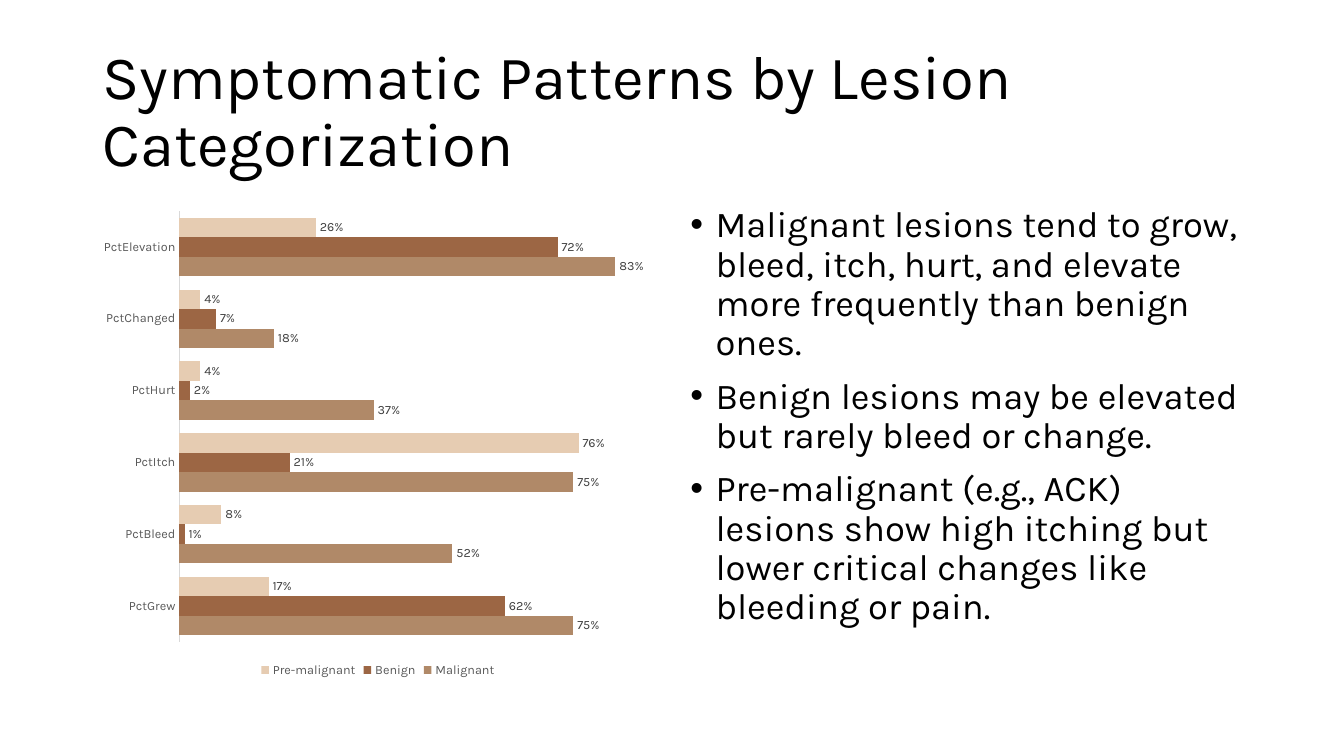
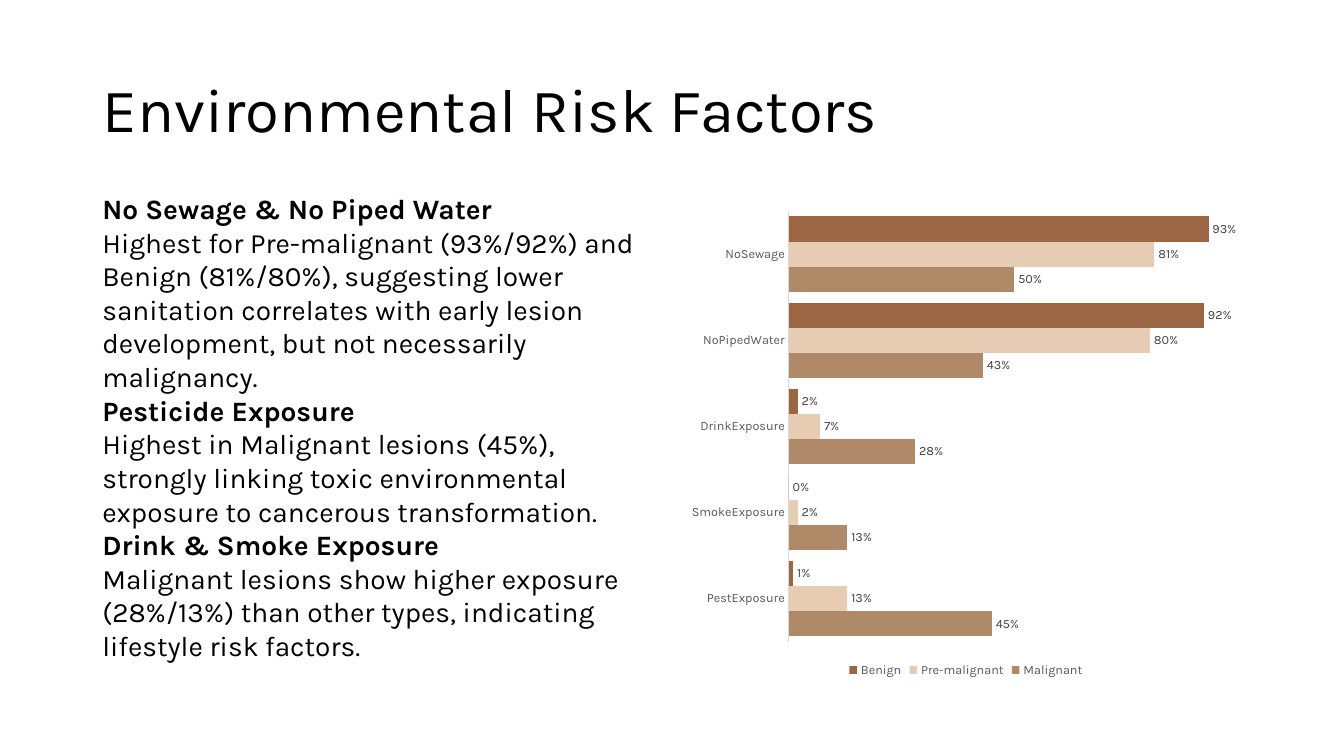
from lxml.etree import SubElement
from pptx import Presentation
from pptx.chart.data import CategoryChartData
from pptx.dml.color import RGBColor
from pptx.enum.chart import XL_CHART_TYPE, XL_LABEL_POSITION, XL_LEGEND_POSITION, XL_TICK_MARK
from pptx.enum.text import MSO_ANCHOR, MSO_AUTO_SIZE, PP_ALIGN
from pptx.oxml.ns import qn
from pptx.util import Emu, Pt

PX = 9525
SLIDE_SIZE = (1280, 720)
FONT = "Karla"
COLORS = {
    "text": "000000",
    "label": "404040",
    "axis_text": "595959",
    "axis_line": "D9D9D9",
    "Malignant": "B08968",
    "Benign": "9C6644",
    "Pre-malignant": "E6CCB2",
}

TITLE_BOX = (88, 38, 1104, 139)
LEFT_BOX = (88, 192, 544, 457)
RIGHT_BOX = (648, 192, 544, 457)
FACTORS_BOX = (88, 177, 552, 459)

SYMPTOMS = {
    "title": "Symptomatic Patterns by Lesion Categorization",
    "categories": ["PctGrew", "PctBleed", "PctItch", "PctHurt", "PctChanged", "PctElevation"],
    "series": [
        ("Malignant", (0.75, 0.52, 0.75, 0.37, 0.18, 0.83)),
        ("Benign", (0.62, 0.01, 0.21, 0.02, 0.07, 0.72)),
        ("Pre-malignant", (0.17, 0.08, 0.76, 0.04, 0.04, 0.26)),
    ],
    "gap": 68,
    "maximum": 0.9,
    "bullets": [
        "Malignant lesions tend to grow, bleed, itch, hurt, and elevate more frequently than benign ones.",
        "Benign lesions may be elevated but rarely bleed or change.",
        "Pre-malignant (e.g., ACK) lesions show high itching but lower critical changes like bleeding or pain.",
    ],
}

ENVIRONMENT = {
    "title": "Environmental Risk Factors",
    "categories": ["PestExposure", "SmokeExposure", "DrinkExposure", "NoPipedWater", "NoSewage"],
    "series": [
        ("Malignant", (0.45, 0.13, 0.28, 0.43, 0.5)),
        ("Pre-malignant", (0.13, 0.02, 0.07, 0.8, 0.81)),
        ("Benign", (0.01, 0, 0.02, 0.92, 0.93)),
    ],
    "gap": 42,
    "maximum": 1,
    "factors": [
        ("No Sewage & No Piped Water",
         "Highest for Pre-malignant (93%/92%) and Benign (81%/80%), suggesting lower sanitation "
         "correlates with early lesion development, but not necessarily malignancy."),
        ("Pesticide Exposure",
         "Highest in Malignant lesions (45%), strongly linking toxic environmental exposure "
         "to cancerous transformation."),
        ("Drink & Smoke Exposure",
         "Malignant lesions show higher exposure (28%/13%) than other types, indicating "
         "lifestyle risk factors."),
    ],
}


def to_emu(box):
    return [Emu(value * PX) for value in box]


def rgb(name):
    return RGBColor.from_string(COLORS[name])


def style_font(font, size, color="text", bold=False):
    font.name = FONT
    font.size = Pt(size)
    font.bold = bold
    font.color.rgb = rgb(color)


def add_titled_slide(presentation, text):
    slide = presentation.slides.add_slide(presentation.slide_layouts[5])
    title = slide.shapes.title
    title.left, title.top, title.width, title.height = to_emu(TITLE_BOX)
    frame = title.text_frame
    frame.text = text
    frame.auto_size = MSO_AUTO_SIZE.NONE
    frame.vertical_anchor = MSO_ANCHOR.MIDDLE
    paragraph = frame.paragraphs[0]
    paragraph.alignment = PP_ALIGN.LEFT
    paragraph.line_spacing = 0.9
    style_font(paragraph.font, 44)
    return slide


def add_bar_chart(slide, box, content):
    data = CategoryChartData(number_format="0%")
    data.categories = content["categories"]
    for name, values in content["series"]:
        data.add_series(name, values)
    chart = slide.shapes.add_chart(XL_CHART_TYPE.BAR_CLUSTERED, *to_emu(box), data).chart
    style_font(chart.font, 10)
    chart.has_title = False
    chart.has_legend = True
    chart.legend.position = XL_LEGEND_POSITION.BOTTOM
    chart.legend.include_in_layout = False
    style_font(chart.legend.font, 9, "axis_text")

    category_axis = chart.category_axis
    category_axis.major_tick_mark = XL_TICK_MARK.NONE
    category_axis.minor_tick_mark = XL_TICK_MARK.NONE
    category_axis.format.line.color.rgb = rgb("axis_line")
    category_axis.format.line.width = Pt(0.75)
    style_font(category_axis.tick_labels.font, 9, "axis_text")

    value_axis = chart.value_axis
    value_axis.visible = False
    value_axis.has_major_gridlines = False
    value_axis.minimum_scale = 0
    value_axis.maximum_scale = content["maximum"]

    plot = chart.plots[0]
    plot.gap_width = content["gap"]
    plot.overlap = 0
    plot.vary_by_categories = False
    for series in plot.series:
        series.format.fill.solid()
        series.format.fill.fore_color.rgb = rgb(series.name)
        labels = series.data_labels
        labels.show_value = True
        labels.position = XL_LABEL_POSITION.OUTSIDE_END
        labels.number_format = "0%"
        labels.number_format_is_linked = False
        style_font(labels.font, 9, "label")


def add_paragraphs(slide, box, texts):
    """Add a wrapping text box with one paragraph per text; return its frame."""
    frame = slide.shapes.add_textbox(*to_emu(box)).text_frame
    frame.word_wrap = True
    frame.text = "\n".join(texts)
    return frame


def add_bullets(slide, box, texts):
    for paragraph in add_paragraphs(slide, box, texts).paragraphs:
        paragraph.line_spacing = 0.9
        paragraph.space_before = Pt(10)
        style_font(paragraph.font, 26)
        properties = paragraph._p.get_or_add_pPr()
        properties.set("marL", str(24 * PX))
        properties.set("indent", str(-24 * PX))
        bullet_font = SubElement(properties, qn("a:buFont"))
        bullet_font.set("typeface", "Arial")
        bullet = SubElement(properties, qn("a:buChar"))
        bullet.set("char", "•")
        # Schema order: default run properties follow the bullet.
        properties.append(properties.find(qn("a:defRPr")))


def add_factors(slide, box, factors):
    """Add alternating bold headings and plain explanations."""
    frame = add_paragraphs(slide, box, [text for factor in factors for text in factor])
    frame.vertical_anchor = MSO_ANCHOR.MIDDLE
    for index, paragraph in enumerate(frame.paragraphs):
        style_font(paragraph.font, 20, bold=index % 2 == 0)


def main():
    presentation = Presentation()
    presentation.slide_width, presentation.slide_height = to_emu(SLIDE_SIZE)

    slide = add_titled_slide(presentation, SYMPTOMS["title"])
    add_bar_chart(slide, LEFT_BOX, SYMPTOMS)
    add_bullets(slide, RIGHT_BOX, SYMPTOMS["bullets"])

    slide = add_titled_slide(presentation, ENVIRONMENT["title"])
    add_bar_chart(slide, RIGHT_BOX, ENVIRONMENT)
    add_factors(slide, FACTORS_BOX, ENVIRONMENT["factors"])

    presentation.save("out.pptx")


if __name__ == "__main__":
    main()
